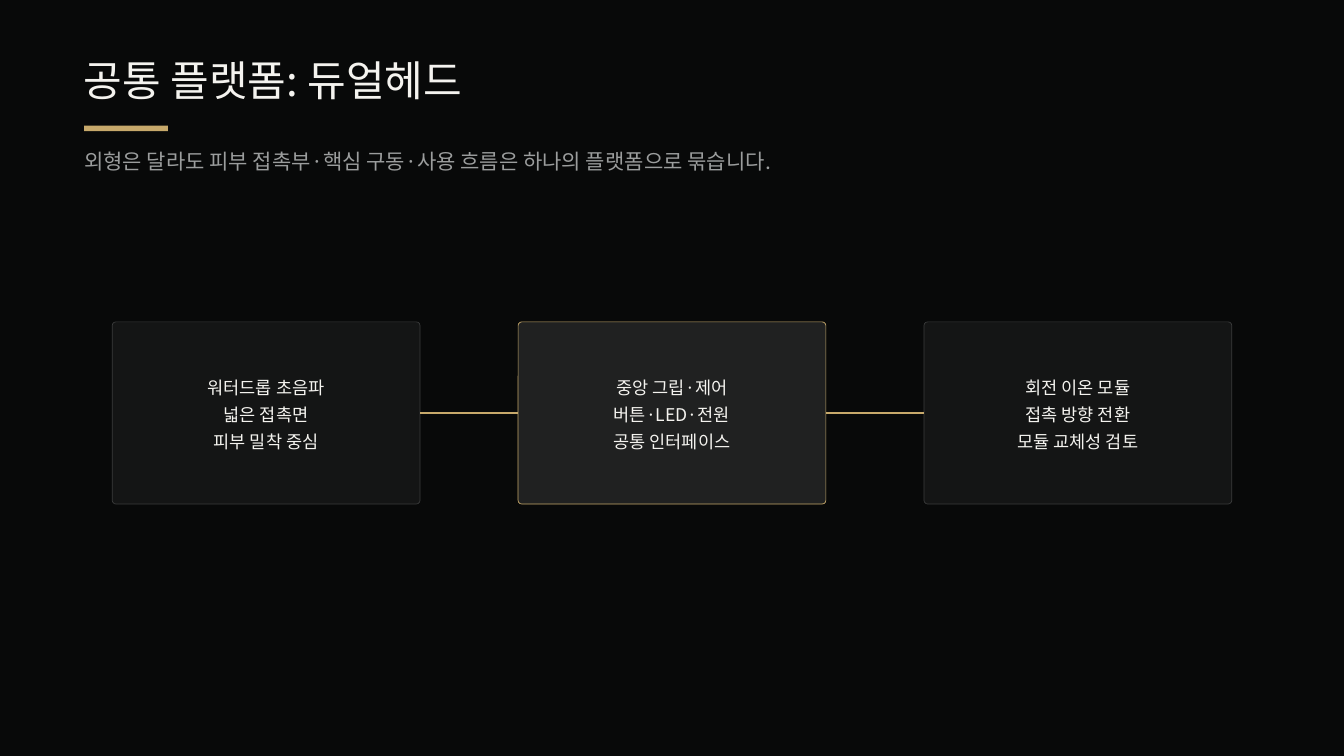
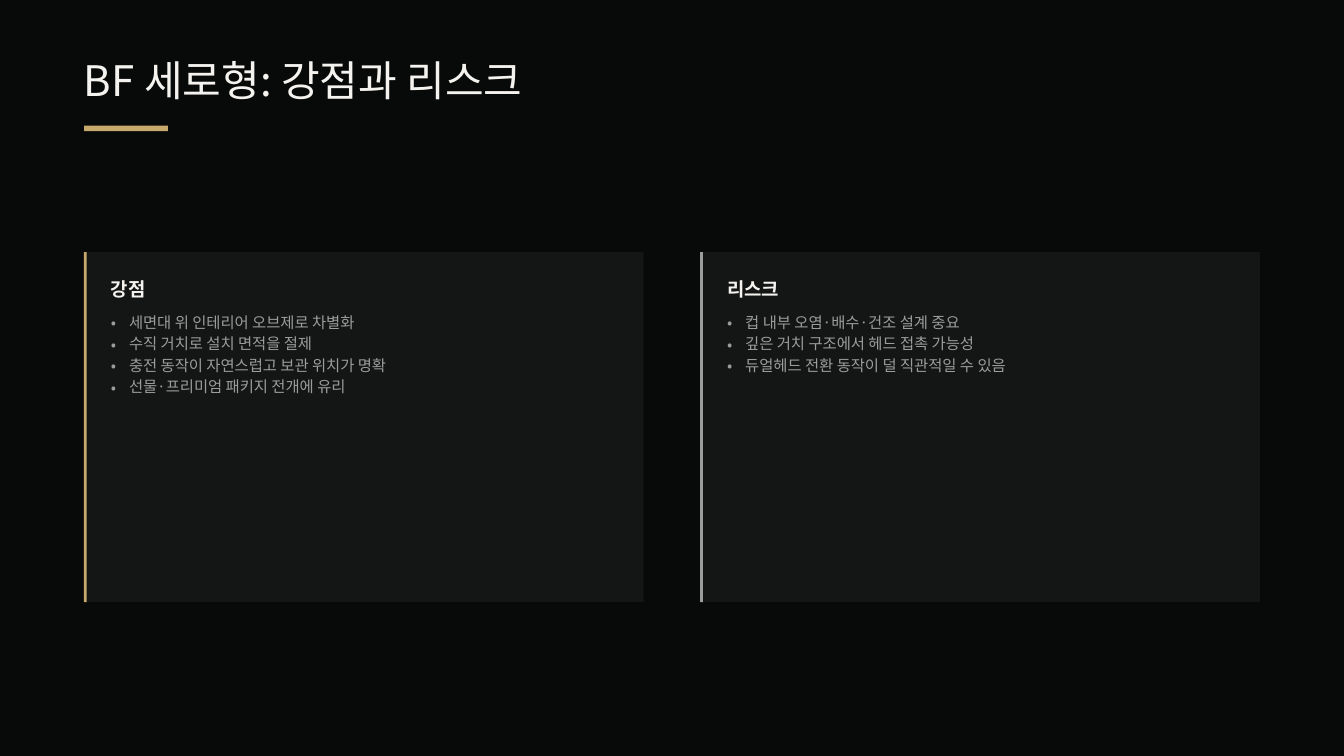
from itertools import pairwise

from lxml import etree
from pptx import Presentation
from pptx.dml.color import RGBColor
from pptx.enum.shapes import MSO_CONNECTOR, MSO_SHAPE
from pptx.enum.text import MSO_ANCHOR, PP_ALIGN
from pptx.oxml.ns import qn
from pptx.util import Inches, Pt

FONT = "Noto Sans CJK KR"
COLORS = {
    "background": "080909",
    "card": "141515",
    "core": "202121",
    "border": "3A3B3B",
    "gold": "C7A96B",
    "white": "F4F3EF",
    "gray": "9B9D9D",
}

PLATFORM_TITLE = "공통 플랫폼: 듀얼헤드"
PLATFORM_SUBTITLE = "외형은 달라도 피부 접촉부·핵심 구동·사용 흐름은 하나의 플랫폼으로 묶습니다."
MODULES = [  # lines, fill, border
    (["워터드롭 초음파", "넓은 접촉면", "피부 밀착 중심"], "card", "border"),
    (["중앙 그립·제어", "버튼·LED·전원", "공통 인터페이스"], "core", "gold"),
    (["회전 이온 모듈", "접촉 방향 전환", "모듈 교체성 검토"], "card", "border"),
]

REVIEW_TITLE = "BF 세로형: 강점과 리스크"
REVIEWS = [  # heading, accent, points
    ("강점", "gold", [
        "세면대 위 인테리어 오브제로 차별화",
        "수직 거치로 설치 면적을 절제",
        "충전 동작이 자연스럽고 보관 위치가 명확",
        "선물·프리미엄 패키지 전개에 유리",
    ]),
    ("리스크", "gray", [
        "컵 내부 오염·배수·건조 설계 중요",
        "깊은 거치 구조에서 헤드 접촉 가능성",
        "듀얼헤드 전환 동작이 덜 직관적일 수 있음",
    ]),
]

SLIDE_W, SLIDE_H = 20, 11.25
MARGIN = 1.25
CONTENT_W = SLIDE_W - 2 * MARGIN
MODULE_W, MODULE_H, MODULE_TOP, MODULE_GAP = 4.58, 2.71, 4.79, 1.46
PANEL_W, PANEL_H, PANEL_TOP = 8.33, 5.21, 3.75
PANEL_PAD, PANEL_TEXT_W = 0.4, 7.54
BULLET_INDENT = 0.27


def rgb(color):
    return RGBColor.from_string(COLORS[color])


def write(frame, lines, size, spacing, color="white", bold=False,
          align=PP_ALIGN.LEFT, anchor=MSO_ANCHOR.TOP, insets=(0, 0, 0, 0), bullets=False):
    """Fill a text frame, one paragraph a line; insets run left, top, right, bottom."""
    frame.word_wrap = True
    frame.vertical_anchor = anchor
    (frame.margin_left, frame.margin_top,
     frame.margin_right, frame.margin_bottom) = map(Inches, insets)
    for index, line in enumerate(lines):
        paragraph = frame.add_paragraph() if index else frame.paragraphs[0]
        paragraph.alignment = align
        paragraph.line_spacing = Pt(spacing)
        if bullets:
            properties = paragraph._p.get_or_add_pPr()
            properties.set("marL", str(Inches(BULLET_INDENT)))
            properties.set("indent", str(-Inches(BULLET_INDENT)))
            etree.SubElement(properties, qn("a:buFont"), typeface=FONT)
            etree.SubElement(properties, qn("a:buChar"), char="•")
        run = paragraph.add_run()
        run.text = line
        font = run.font
        font.name, font.size, font.bold = FONT, Pt(size), bold
        font.color.rgb = rgb(color)
        etree.SubElement(font._element, qn("a:ea"), typeface=FONT)


def add_text(slide, lines, left, top, width, height, **style):
    box = slide.shapes.add_textbox(*map(Inches, (left, top, width, height)))
    write(box.text_frame, lines, **style)


def add_block(slide, left, top, width, height, fill, border=None, kind=MSO_SHAPE.RECTANGLE):
    block = slide.shapes.add_shape(kind, *map(Inches, (left, top, width, height)))
    block.shadow.inherit = False
    block.fill.solid()
    block.fill.fore_color.rgb = rgb(fill)
    if border:
        block.line.color.rgb = rgb(border)
        block.line.width = Pt(0.75)
    else:
        block.line.fill.background()
    return block


def add_link(slide, start, end):
    """Join the right side of one module to the left side of the next."""
    link = slide.shapes.add_connector(MSO_CONNECTOR.STRAIGHT, 0, 0, 0, 0)
    link.begin_connect(start, 3)
    link.end_connect(end, 1)
    link.line.color.rgb = rgb("gold")
    link.line.width = Pt(1.5)
    etree.SubElement(link._element.spPr, qn("a:effectLst"))


def add_titled_slide(deck, title):
    slide = deck.slides.add_slide(deck.slide_layouts[6])
    slide.background.fill.solid()
    slide.background.fill.fore_color.rgb = rgb("background")
    add_text(slide, [title], MARGIN, 0.86, CONTENT_W, 0.72, size=45, spacing=50.4)
    add_block(slide, MARGIN, 1.87, 1.25, 0.08, "gold")
    return slide


def add_module(slide, left, lines, fill, border):
    module = add_block(slide, left, MODULE_TOP, MODULE_W, MODULE_H, fill, border,
                       MSO_SHAPE.ROUNDED_RECTANGLE)
    module.adjustments[0] = 0.02
    write(module.text_frame, lines, size=18.8, spacing=29.1, align=PP_ALIGN.CENTER,
          anchor=MSO_ANCHOR.MIDDLE, insets=(0.06, 0.01, 0.06, 0.06))
    return module


def build_platform(deck):
    slide = add_titled_slide(deck, PLATFORM_TITLE)
    add_text(slide, [PLATFORM_SUBTITLE], MARGIN, 2.13, 14.58, 0.42,
             size=22.5, spacing=32.6, color="gray")
    step = MODULE_W + MODULE_GAP
    first_left = (SLIDE_W - MODULE_W - step * (len(MODULES) - 1)) / 2
    modules = [add_module(slide, first_left + index * step, *module)
               for index, module in enumerate(MODULES)]
    for start, end in pairwise(modules):
        add_link(slide, start, end)


def build_review(deck):
    slide = add_titled_slide(deck, REVIEW_TITLE)
    step = (CONTENT_W - PANEL_W) / (len(REVIEWS) - 1)
    for index, (heading, accent, points) in enumerate(REVIEWS):
        left = MARGIN + index * step
        add_block(slide, left, PANEL_TOP, PANEL_W, PANEL_H, "card")
        add_block(slide, left, PANEL_TOP, 0.04, PANEL_H, accent)
        text_left = left + PANEL_PAD
        add_text(slide, [heading], text_left, PANEL_TOP + 0.32, PANEL_TEXT_W, 0.37,
                 size=20.2, spacing=28.4, bold=True)
        add_text(slide, points, text_left, PANEL_TOP + 0.86, PANEL_TEXT_W, 0.32 * len(points),
                 size=16.5, spacing=23.1, color="gray", bullets=True)


def main():
    deck = Presentation()
    deck.slide_width, deck.slide_height = Inches(SLIDE_W), Inches(SLIDE_H)
    build_platform(deck)
    build_review(deck)
    deck.save("out.pptx")


if __name__ == "__main__":
    main()
